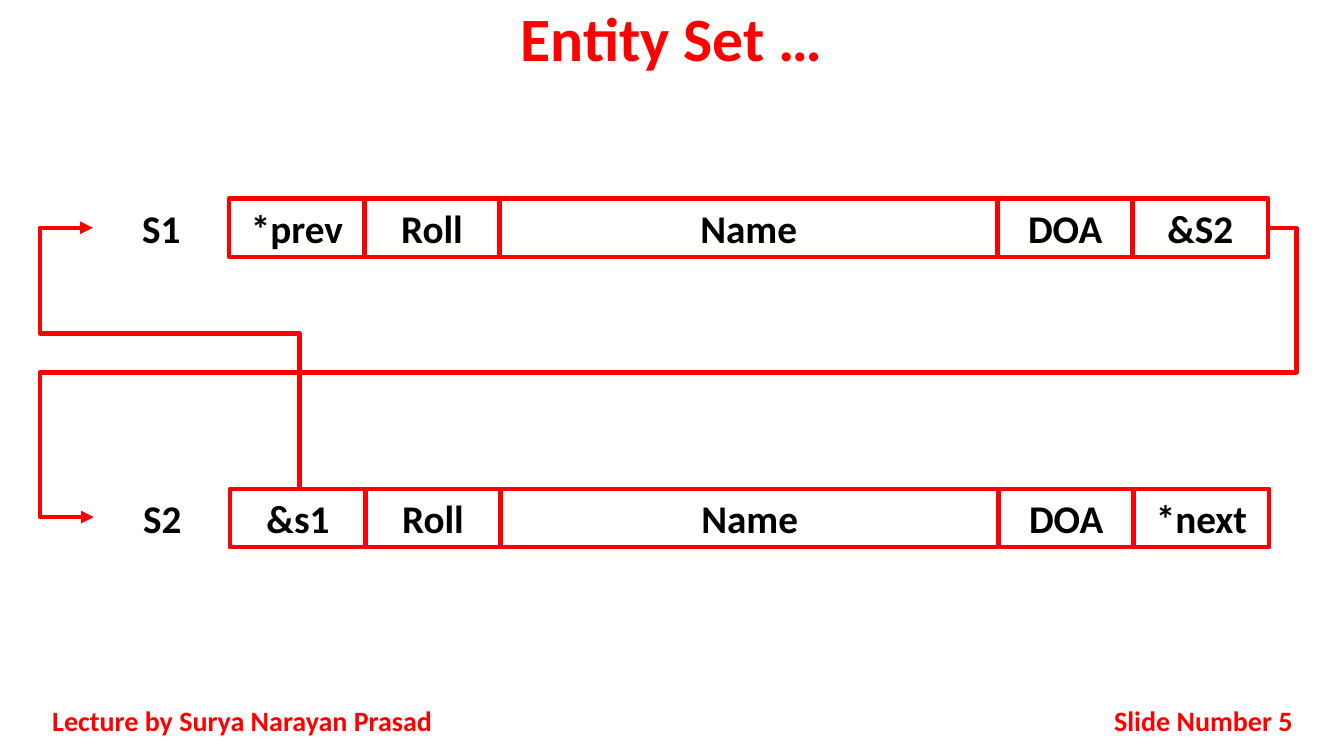
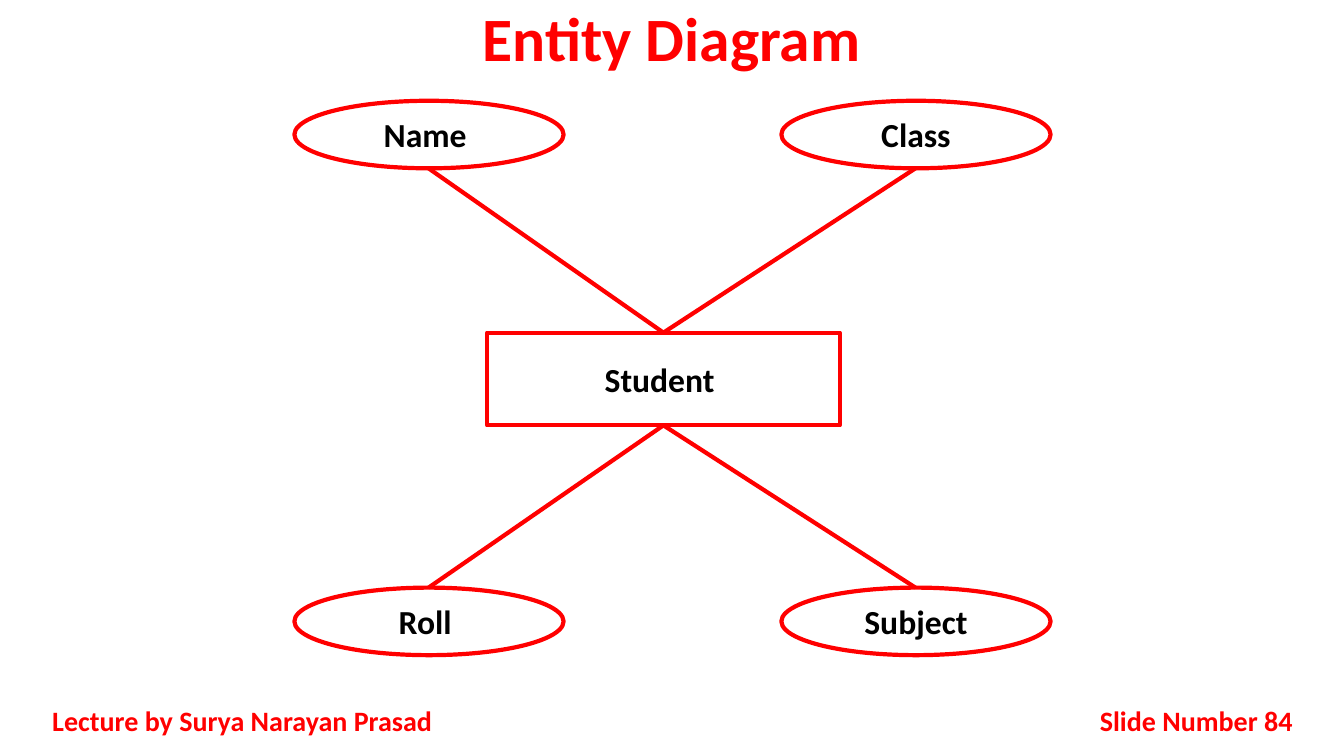
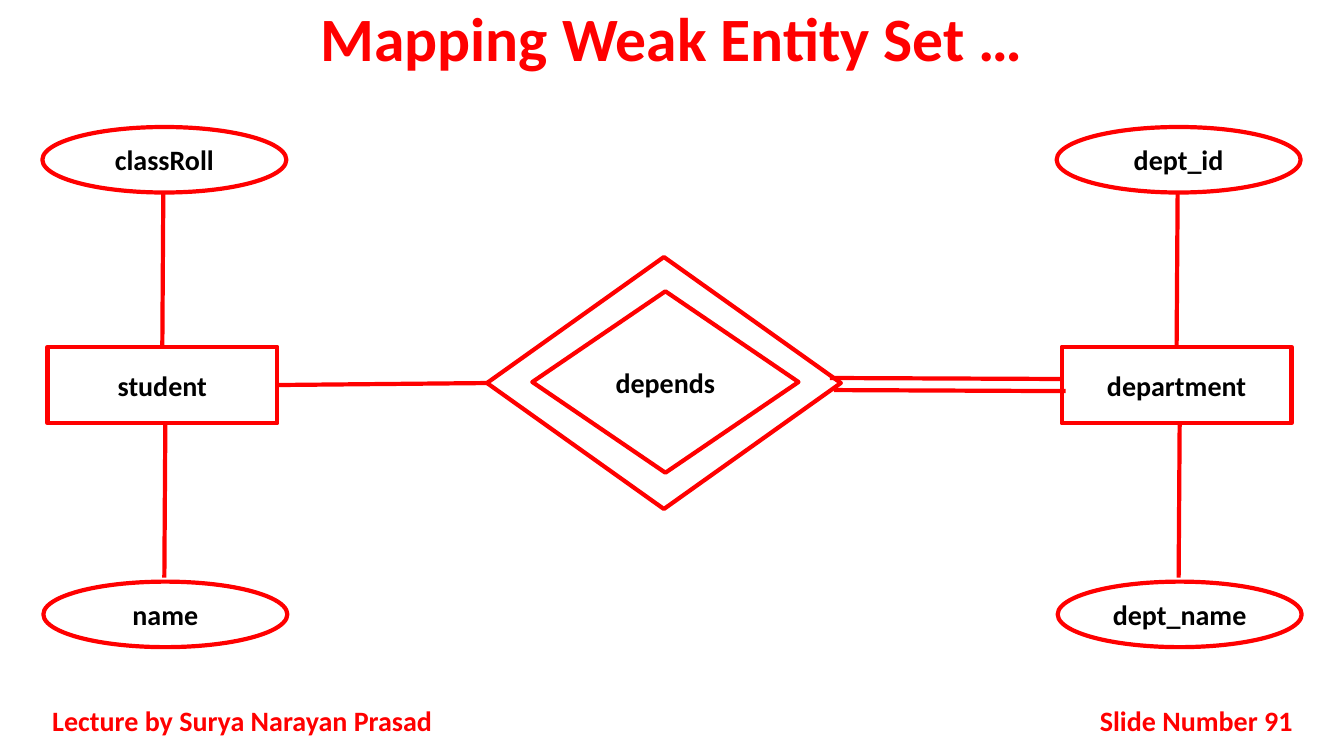
from lxml import etree
from pptx import Presentation
from pptx.dml.color import RGBColor
from pptx.enum.shapes import MSO_CONNECTOR, MSO_SHAPE
from pptx.enum.text import MSO_ANCHOR, PP_ALIGN
from pptx.oxml.ns import qn
from pptx.util import Pt

PX = 9144  # 100 px to the inch
COLORS = {"red": "FF0000", "black": "000000"}
FONT = "Calibri"
LINE_WIDTH = Pt(3)


def add_block(page, kind, box, text, size, color="black", align=PP_ALIGN.CENTER):
    """Add an outlined shape, or a plain text box when kind is None."""
    place = [length * PX for length in box]
    if kind is None:
        block = page.shapes.add_textbox(*place)
    else:
        block = page.shapes.add_shape(kind, *place)
        block.shadow.inherit = False
        block.fill.background()
        block.line.color.rgb = RGBColor.from_string(COLORS["red"])
        block.line.width = LINE_WIDTH
    frame = block.text_frame
    frame.word_wrap = True
    frame.vertical_anchor = MSO_ANCHOR.MIDDLE
    if text:
        para = frame.paragraphs[0]
        para.alignment = align
        span = para.add_run()
        span.text = text
        span.font.name = FONT
        span.font.size = Pt(size)
        span.font.bold = True
        span.font.color.rgb = RGBColor.from_string(COLORS[color])
    return block


def add_link(page, start, end, bend=None, adjusts=(), turn=0):
    """Add a straight line, or a bent arrow when bend names a preset."""
    kind = MSO_CONNECTOR.ELBOW if bend else MSO_CONNECTOR.STRAIGHT
    link = page.shapes.add_connector(kind, *[length * PX for length in start + end])
    link.line.color.rgb = RGBColor.from_string(COLORS["red"])
    link.line.width = LINE_WIDTH
    properties = link._element.spPr
    if bend:
        etree.SubElement(link.line._get_or_add_ln(), qn("a:tailEnd"), type="triangle")
        geometry = properties.find(qn("a:prstGeom"))
        geometry.set("prst", bend)
        guides = geometry.find(qn("a:avLst"))
        if guides is None:
            guides = etree.SubElement(geometry, qn("a:avLst"))
        for number, value in enumerate(adjusts, 1):
            etree.SubElement(guides, qn("a:gd"), name=f"adj{number}", fmla=f"val {value}")
        if turn:
            properties.find(qn("a:xfrm")).set("rot", str(turn * 60000))
    etree.SubElement(properties, qn("a:effectLst"))


deck = Presentation()
deck.slide_width = 1333 * PX
deck.slide_height = 750 * PX

# Title and footers of every slide
pages = []
for title, number in [("Entity Set …", 5), ("Entity Diagram", 84), ("Mapping Weak Entity Set …", 91)]:
    page = deck.slides.add_slide(deck.slide_layouts[6])
    heading = add_block(page, None, (0, 0, 1333, 83), title, 44, "red")
    heading.text_frame.paragraphs[0].line_spacing = 0.9
    add_block(page, None, (42, 695, 417, 40), "Lecture by Surya Narayan Prasad", 20, "red", PP_ALIGN.JUSTIFY)
    add_block(page, None, (1017, 695, 275, 40), f"Slide Number {number}", 20, "red", PP_ALIGN.RIGHT)
    pages.append(page)
set_page, diagram_page, weak_page = pages

# Entity set: two linked records, neighbouring cells overlap by 1 px
records = [
    (92, 197, ["S1", "*prev", "Roll", "Name", "DOA", "&S2"]),
    (93, 485, ["S2", "&s1", "Roll", "Name", "DOA", "*next"]),
]
steps = [135, 134, 134, 494, 134, 134]
for left, top, fields in records:
    for column, (field, step) in enumerate(zip(fields, steps)):
        kind = MSO_SHAPE.RECTANGLE if column else None
        add_block(set_page, kind, (left, top, step + 1, 58), field, 28)
        left += step
add_link(set_page, (1258, 226), (93, 513), "bentConnector5", (-2400, 50000, 104600))
add_link(set_page, (65, 458), (324, 253), "bentConnector4", (59500, 125700), turn=270)

# Entity diagram: one entity with four attributes
add_block(diagram_page, MSO_SHAPE.RECTANGLE, (483, 330, 350, 92), "Student ", 24)
attributes = [
    ("Name ", 292, 100), ("Class", 775, 100),
    ("Roll ", 292, 583), ("Subject", 775, 583),
]
for name, left, top in attributes:
    add_block(diagram_page, MSO_SHAPE.OVAL, (left, top, 267, 67), name, 24)
    entity_edge, attribute_edge = (330, top + 67) if top < 330 else (422, top)
    add_link(diagram_page, (658, entity_edge), (left + 133, attribute_edge))

# Weak entity set: two entities, each with an attribute above and below
entities = [
    (47, "student", "classRoll", "name"),
    (1053, "department", "dept_id", "dept_name"),
]
for left, entity, upper, lower in entities:
    add_block(weak_page, MSO_SHAPE.RECTANGLE, (left, 344, 228, 76), entity, 20)
    add_block(weak_page, MSO_SHAPE.OVAL, (left - 5, 126, 242, 65), upper, 20)
    add_block(weak_page, MSO_SHAPE.OVAL, (left - 4, 577, 242, 65), lower, 20)
    add_link(weak_page, (left + 114, 344), (left + 115, 192))
    add_link(weak_page, (left + 116, 573), (left + 117, 421))

# Identifying relationship between them
add_block(weak_page, MSO_SHAPE.DIAMOND, (528, 289, 264, 180), "depends", 20)
add_block(weak_page, MSO_SHAPE.DIAMOND, (483, 255, 351, 250), "", 20)
add_link(weak_page, (275, 382), (483, 380))
add_link(weak_page, (823, 375), (1053, 376))
add_link(weak_page, (827, 387), (1057, 388))

deck.save("out.pptx")
